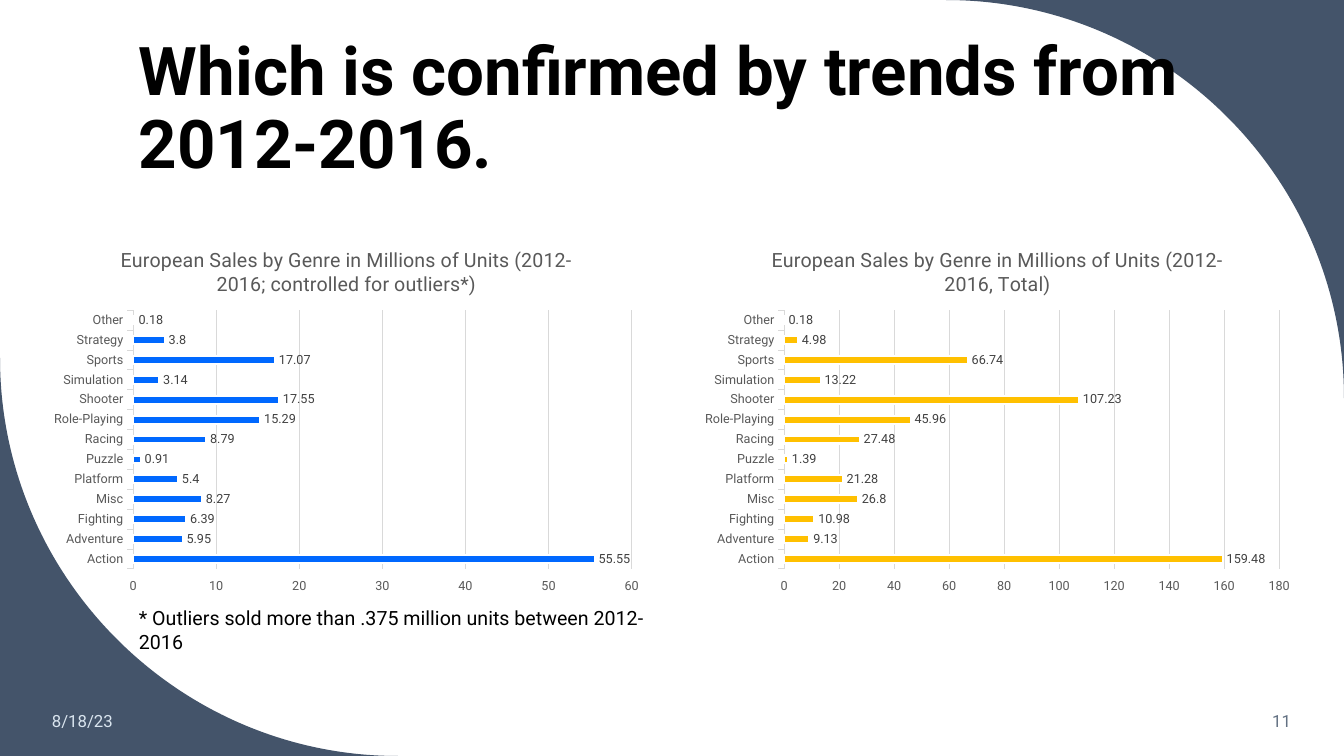
from dataclasses import dataclass

from lxml.etree import SubElement as Sub
from pptx import Presentation
from pptx.chart.data import CategoryChartData as ChartData
from pptx.dml.color import RGBColor as Rgb
from pptx.enum.chart import XL_CHART_TYPE as Kind, XL_LABEL_POSITION as Spot
from pptx.enum.chart import XL_TICK_MARK as Tick
from pptx.enum.text import MSO_ANCHOR as Anchor, MSO_AUTO_SIZE as Fit, PP_ALIGN as Align
from pptx.oxml.ns import qn
from pptx.util import Emu, Pt

SCALE = 914400 / 100.8  # EMU in one px


def px(num):
    return Emu(round(num * SCALE))


def put(obj, vals):
    for key, val in vals.items():
        setattr(obj, key, val)


@dataclass(frozen=True)
class Theme:
    face: str = "Roboto"
    black: str = "000000"
    navy: str = "44546A"
    white: str = "FFFFFF"
    date: str = "DAE5EF"
    page: str = "637183"
    blue: str = "0068FF"
    gold: str = "FFC000"
    gray: str = "595959"
    label: str = "404040"
    rule: str = "D9D9D9"
    head: int = 48
    note: int = 14
    foot: int = 12
    base: int = 10
    tick: int = 9


class Deck:
    def __init__(self, theme, wide, high):
        self.theme = theme
        self.prs = Presentation()
        put(self.prs, {"slide_width": px(wide), "slide_height": px(high)})
        self.slide = self.prs.slides.add_slide(self.prs.slide_layouts[6])
        self.shapes = self.slide.shapes

    def font(self, font, size, color, bold=False):
        put(font, {"name": self.theme.face, "size": Pt(size), "bold": bold})
        font.color.rgb = Rgb.from_string(color)

    def line(self, line, color, width):
        line.color.rgb = Rgb.from_string(color)
        line.width = Pt(width)

    def corner(self, tip, size, turn):
        """Fill between a slide corner and a quarter circle; turn is 1 or -1."""
        x, y = tip
        pull = round(size * 0.45)
        pen = self.shapes.build_freeform(x, y, scale=SCALE)
        pen.add_line_segments([(x - turn * size, y), (x - turn * pull, y),
                               (x, y + turn * pull), (x, y + turn * size)])
        shape = pen.convert_to_shape()

        # The last three points become one curve
        lines = shape._element.xpath(".//a:lnTo")
        curve = Sub(lines[0].getparent(), qn("a:cubicBezTo"))
        for line in lines[1:]:
            curve.append(line[0])
            line.getparent().remove(line)
        close = curve.getparent().find(qn("a:close"))
        if close is not None:
            close.addprevious(curve)

        shape.shadow.inherit = False
        shape.fill.solid()
        shape.fill.fore_color.rgb = Rgb.from_string(self.theme.navy)
        shape.line.fill.background()

    def text(self, box, words, size, color, bold=False, frame=None, para=None):
        area = self.shapes.add_textbox(*map(px, box)).text_frame
        put(area, {"word_wrap": True, **(frame or {})})
        first = area.paragraphs[0]
        put(first, para or {})
        run = first.add_run()
        run.text = words
        self.font(run.font, size, color, bold)

    def bars(self, box, title, names, vals, color):
        look = self.theme
        data = ChartData()
        data.categories = names
        data.add_series("Series 1", vals)
        chart = self.shapes.add_chart(Kind.BAR_CLUSTERED, *map(px, box), data).chart
        chart.has_legend = False
        self.font(chart.font, look.base, look.black)

        # Title
        frame = chart.chart_title.text_frame
        frame.text = title
        self.font(frame.paragraphs[0].runs[0].font, look.note, look.gray)
        chart.chart_title.include_in_layout = False

        # Axes
        cat, val = chart.category_axis, chart.value_axis
        for axis in (cat, val):
            put(axis, {"major_tick_mark": Tick.OUTSIDE, "minor_tick_mark": Tick.NONE})
            self.font(axis.tick_labels.font, look.tick, look.gray)
        put(cat, {"has_major_gridlines": False})
        put(val, {"has_major_gridlines": True})
        self.line(cat.format.line, look.rule, 0.75)
        self.line(val.major_gridlines.format.line, look.rule, 0.75)
        val.format.line.fill.background()

        # Bars and their labels
        plot = chart.plots[0]
        put(plot, {"gap_width": 150, "vary_by_categories": False})
        row = plot.series[0]
        row.invert_if_negative = False
        row.format.fill.solid()
        row.format.fill.fore_color.rgb = Rgb.from_string(color)
        self.line(row.format.line, look.white, 1.5)
        put(row.data_labels, {"show_value": True, "position": Spot.OUTSIDE_END})
        self.font(row.data_labels.font, look.tick, look.label)


GENRES = ["Action", "Adventure", "Fighting", "Misc", "Platform", "Puzzle", "Racing",
          "Role-Playing", "Shooter", "Simulation", "Sports", "Strategy", "Other"]
CORE = [55.55, 5.95, 6.39, 8.27, 5.4, 0.91, 8.79, 15.29, 17.55, 3.14, 17.07, 3.8, 0.18]
TOTAL = [159.48, 9.13, 10.98, 26.8, 21.28, 1.39, 27.48, 45.96, 107.23, 13.22, 66.74,
         4.98, 0.18]


def main():
    wide, high, size = 1344, 756, 398
    look = Theme()
    deck = Deck(look, wide, high)

    # Corners
    deck.corner((wide, 0), size, 1)
    deck.corner((0, high), size, -1)

    # Heading
    deck.text((129, 42, 1078, 146), "Which is confirmed by trends from 2012-2016.",
              look.head, look.black, True,
              {"vertical_anchor": Anchor.BOTTOM}, {"line_spacing": 0.9})

    # Date and page number
    feet = [((42, 701, 187, 40), "8/18/23", look.date, Align.LEFT),
            ((1119, 701, 182, 40), "11", look.page, Align.RIGHT)]
    for box, words, color, side in feet:
        deck.text(box, words, look.foot, color, False,
                  {"vertical_anchor": Anchor.MIDDLE},
                  {"alignment": side, "space_after": Pt(6)})

    # Charts
    sales = "European Sales by Genre in Millions of Units (2012-2016"
    charts = [(42, "; controlled for outliers*)", CORE, look.blue),
              (693, ", Total)", TOTAL, look.gold)]
    for left, tail, vals, color in charts:
        deck.bars((left, 230, 609, 371), sales + tail, GENRES, vals, color)

    # Footnote
    deck.text((129, 601, 538, 57),
              "* Outliers sold more than .375 million units between 2012-2016",
              look.note, look.black, frame={"auto_size": Fit.SHAPE_TO_FIT_TEXT})

    deck.prs.save("out.pptx")


if __name__ == "__main__":
    main()
